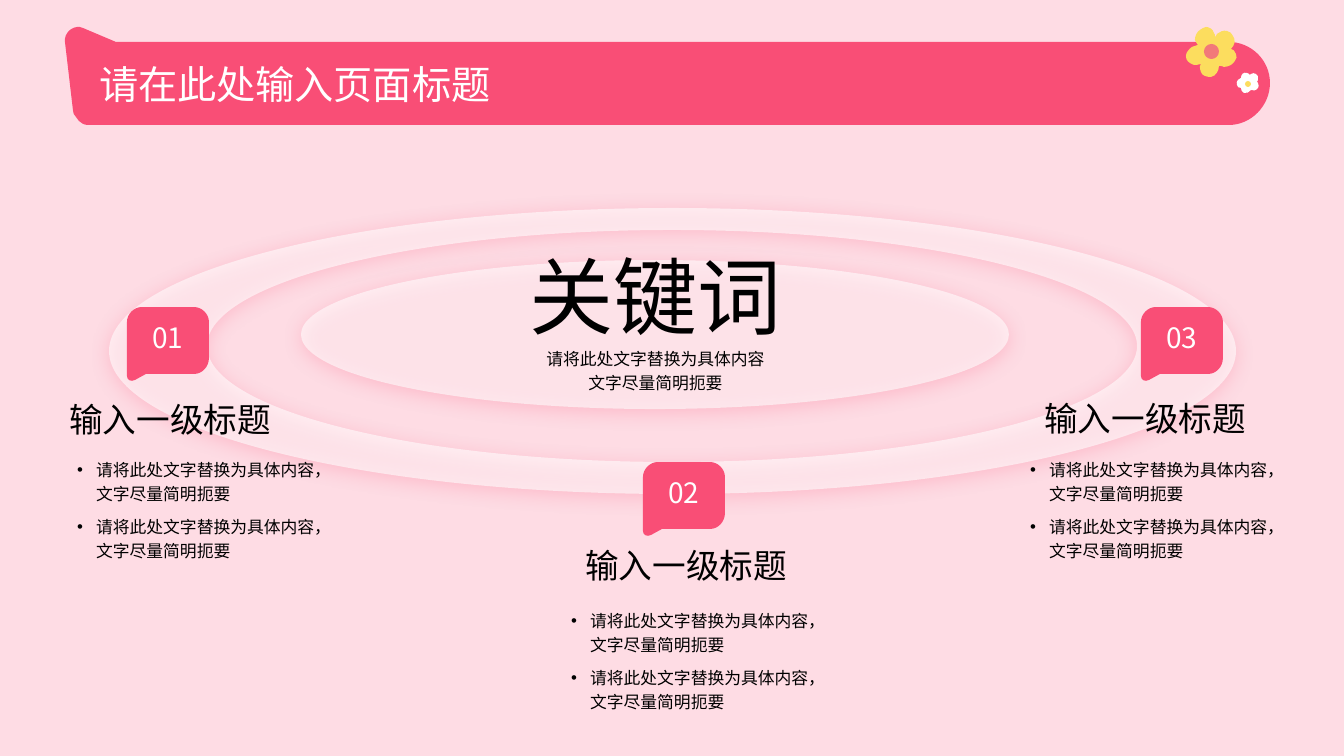
from lxml.etree import SubElement as Sub
from pptx import Presentation
from pptx.dml.color import RGBColor as RGB
from pptx.enum.shapes import MSO_SHAPE as Kind
from pptx.enum.text import MSO_ANCHOR as Anchor, MSO_AUTO_SIZE as Auto, PP_ALIGN as Align
from pptx.oxml.ns import qn
from pptx.util import Emu, Pt

ROSE, BLUSH, WHITE, BLACK = "F94E76", "FEDCE4", "FFFFFF", "000000"
CREAM, LEMON, CORAL = "FEF8DF", "FCDD5E", "F27979"
NOTO, KARLA = "Noto Sans CJK SC", "Karla"
HEAD = "输入一级标题"
ITEM = "请将此处文字替换为具体内容，文字尽量简明扼要"

# Outlines: a pair is a straight step, six numbers are a curve
BANNER = [(80, 27), (81, 27, 82, 28, 83, 28), (116, 42), (1229, 42),
          (1251, 42, 1270, 60, 1270, 83), (1270, 106, 1251, 125, 1229, 125),
          (88, 125), (84, 125, 81, 123, 79, 121), (76, 117),
          (74, 115, 73, 113, 73, 110), (65, 42), (64, 33, 72, 26, 80, 27)]
BADGE = [(15, 0), (67, 0), (75, 0, 82, 7, 82, 15), (82, 51),
         (82, 60, 75, 67, 67, 67), (19, 67), (8, 73), (4, 75, 0, 73, 0, 69),
         (0, 15), (0, 7, 7, 0, 15, 0)]
BLOOM = [(50, 27), (49, 24, 47, 22, 45, 22), (49, 18, 50, 13, 47, 9),
         (46, 7, 44, 4, 41, 4), (37, 3, 34, 5, 31, 7), (31, 8, 30, 9, 29, 10),
         (29, 8, 29, 7, 28, 6), (27, 2, 23, 0, 20, 0), (18, 0, 16, 2, 14, 3),
         (11, 5, 9, 9, 9, 13), (10, 15, 11, 17, 12, 18), (10, 19, 8, 19, 6, 20),
         (5, 21, 3, 22, 2, 24), (1, 25, 0, 27, 0, 29), (0, 34, 3, 36, 8, 38),
         (10, 38, 12, 38, 15, 37), (15, 38, 14, 39, 14, 39), (14, 41, 14, 43, 15, 45),
         (16, 49, 21, 50, 25, 50), (30, 49, 33, 44, 33, 39), (35, 39, 37, 39, 38, 40),
         (41, 40, 43, 39, 45, 38), (46, 37, 48, 36, 49, 34), (51, 32, 51, 29, 50, 27)]
DAISY = [(21, 10), (21, 10, 21, 9, 20, 9), (21, 8, 21, 7, 21, 5), (21, 4, 21, 2, 19, 1),
         (18, 0, 15, 0, 14, 1), (14, 2, 13, 2, 13, 2), (12, 1, 11, 0, 10, 0),
         (7, -1, 4, 1, 4, 5), (3, 6, 2, 6, 1, 7), (0, 8, -1, 10, 0, 12),
         (0, 14, 2, 15, 4, 15), (4, 17, 5, 19, 7, 20), (10, 21, 12, 19, 14, 17),
         (16, 18, 19, 18, 21, 15), (22, 14, 22, 12, 21, 10)]

# Number, badge corner, heading corner, list corner
TOPICS = [("01", (127, 307), (16, 394), (67, 451)),
          ("02", (643, 462), (532, 540), (561, 602)),
          ("03", (1141, 307), (991, 393), (1020, 451))]


def px(n):
    return Emu(round(n * 914400 / 100.8))


def tint(hue):
    return RGB.from_string(hue)


def shift(steps, left, top):
    return [tuple(v + (top if i % 2 else left) for i, v in enumerate(step))
            for step in steps]


def oval(left, top, wide, high):
    """Four curves through the middles of a box."""
    a, b = wide / 2, high / 2
    k, m = 0.55 * a, 0.55 * b
    loop = [(0, -b), (k, -b, a, -m, a, 0), (a, m, k, b, 0, b),
            (-k, b, -a, m, -a, 0), (-a, -m, -k, -b, 0, -b)]
    return shift(loop, left + a, top + b)


def paint(shape, hue):
    shape.shadow.inherit = False
    shape.fill.solid()
    shape.fill.fore_color.rgb = tint(hue)
    shape.line.fill.background()
    return shape


def free(shapes, hue, *loops):
    """Build the outline from its corners, then bend the curved steps."""
    pen = None
    for loop in loops:
        ends = [(px(step[-2]), px(step[-1])) for step in loop]
        if pen is None:
            pen = shapes.build_freeform(*ends[0], scale=1.0)
        else:
            pen.move_to(*ends[0])
        pen.add_line_segments(ends[1:], close=True)
    shape = pen.convert_to_shape()
    lines = list(shape.element.iter(qn("a:lnTo")))
    start = 0
    for loop in loops:
        for line, step in zip(lines[start:], loop[1:]):
            if len(step) == 6:
                bend(line, step, shape.left, shape.top)
        start += len(loop) - 1
    return paint(shape, hue)


def bend(line, step, left, top):
    curve = line.getparent().makeelement(qn("a:cubicBezTo"))
    for x, y in zip(step[::2], step[1::2]):
        Sub(curve, qn("a:pt"), x=str(px(x) - left), y=str(px(y) - top))
    line.getparent().replace(line, curve)


def glow(shape):
    """Make the fill translucent and add a soft rose shadow."""
    props = shape.element.spPr
    Sub(props.find(qn("a:solidFill"))[0], qn("a:alpha"), val="58000")
    cast = Sub(props.find(qn("a:effectLst")), qn("a:outerShdw"), blurRad=str(Pt(14.1)),
               dist=str(Pt(2.6)), dir="5400000", algn="t", rotWithShape="0")
    hue = Sub(cast, qn("a:srgbClr"), val=ROSE)
    Sub(hue, qn("a:alpha"), val="40000")


def write(shape, lines, size, face=NOTO, hue=BLACK, frame=None, bullet=False, **style):
    text = shape.text_frame
    look = {"word_wrap": True, "auto_size": Auto.NONE, "vertical_anchor": Anchor.TOP}
    for key, val in (look | (frame or {})).items():
        setattr(text, key, val)
    text.text = "\n".join(lines)
    for para in text.paragraphs:
        look = {"alignment": Align.CENTER, "space_before": Pt(0), "line_spacing": 1.0}
        for key, val in (look | style).items():
            setattr(para, key, val)
        props = para._p.get_or_add_pPr()
        hang = px(19) if bullet else 0
        props.set("marL", str(hang))
        props.set("indent", str(-hang))
        if bullet:
            Sub(props, qn("a:buFont"), typeface="Arial")
            Sub(props, qn("a:buChar"), char="•")
        else:
            Sub(props, qn("a:buNone"))
        run = para.runs[0]
        for key, val in {"size": Pt(size), "name": face, "bold": False}.items():
            setattr(run.font, key, val)
        run.font.color.rgb = tint(hue)
        Sub(run._r.get_or_add_rPr(), qn("a:ea"), typeface=NOTO)


def place(slide, idx, *box):
    """Move a placeholder to its spot and bring it to the front."""
    hold = next(p for p in slide.placeholders if p.placeholder_format.idx == idx)
    for key, val in zip(("left", "top", "width", "height"), box):
        setattr(hold, key, px(val))
    slide.shapes.element.append(hold.element)
    return hold


def label(shapes, box, text, size):
    write(shapes.add_textbox(*map(px, box)), [text], size)


def topic(slide, idx, num, badge, head, spot):
    tag = free(slide.shapes, ROSE, shift(BADGE, *badge))
    write(tag, [num], 20, hue=WHITE,
          frame={"vertical_anchor": Anchor.MIDDLE, "margin_top": 0, "margin_bottom": px(12)})
    label(slide.shapes, (*head, 308, 50), HEAD, 24)
    write(place(slide, idx, *spot, 271, 115), [ITEM, ITEM], 12, KARLA, bullet=True,
          alignment=Align.LEFT, line_spacing=1.2, space_after=Pt(6))


def main():
    deck = Presentation()
    deck.slide_width, deck.slide_height = px(1344), px(756)
    slide = deck.slides.add_slide(deck.slide_layouts[4])
    shapes = slide.shapes

    # Backdrop
    paint(slide.shapes.add_shape(Kind.RECTANGLE, 0, 0, px(1344), px(756)), BLUSH)
    slide.background.fill.solid()
    slide.background.fill.fore_color.rgb = tint(CREAM)

    # Banner, flowers and title
    free(shapes, ROSE, BANNER)
    free(shapes, LEMON, shift(BLOOM, 1186, 27))
    free(shapes, CORAL, oval(1204, 44, 15, 15))
    free(shapes, WHITE, shift(DAISY, 1237, 73))
    free(shapes, LEMON, oval(1245, 81, 6, 6))
    write(place(slide, 0, 91, 56, 1101, 61), ["请在此处输入页面标题"], 28, hue=WHITE,
          frame={"vertical_anchor": Anchor.MIDDLE, "margin_left": px(8),
                 "margin_right": px(8), "margin_top": 0, "margin_bottom": 0},
          alignment=Align.LEFT, line_spacing=0.9)

    # Glowing ring and disc
    glow(free(shapes, WHITE, oval(207, 230, 930, 232), oval(109, 208, 1127, 286)))
    glow(paint(shapes.add_shape(Kind.OVAL, *map(px, (301, 260, 708, 149))), WHITE))

    # Keyword
    label(shapes, (324, 240, 664, 112), "关键词", 60)
    write(place(slide, 1, 520, 340, 271, 57),
          ["请将此处文字替换为具体内容", "文字尽量简明扼要"], 12, KARLA, line_spacing=1.2)

    # Topics
    for idx, item in enumerate(TOPICS, 2):
        topic(slide, idx, *item)

    deck.save("out.pptx")


if __name__ == "__main__":
    main()
